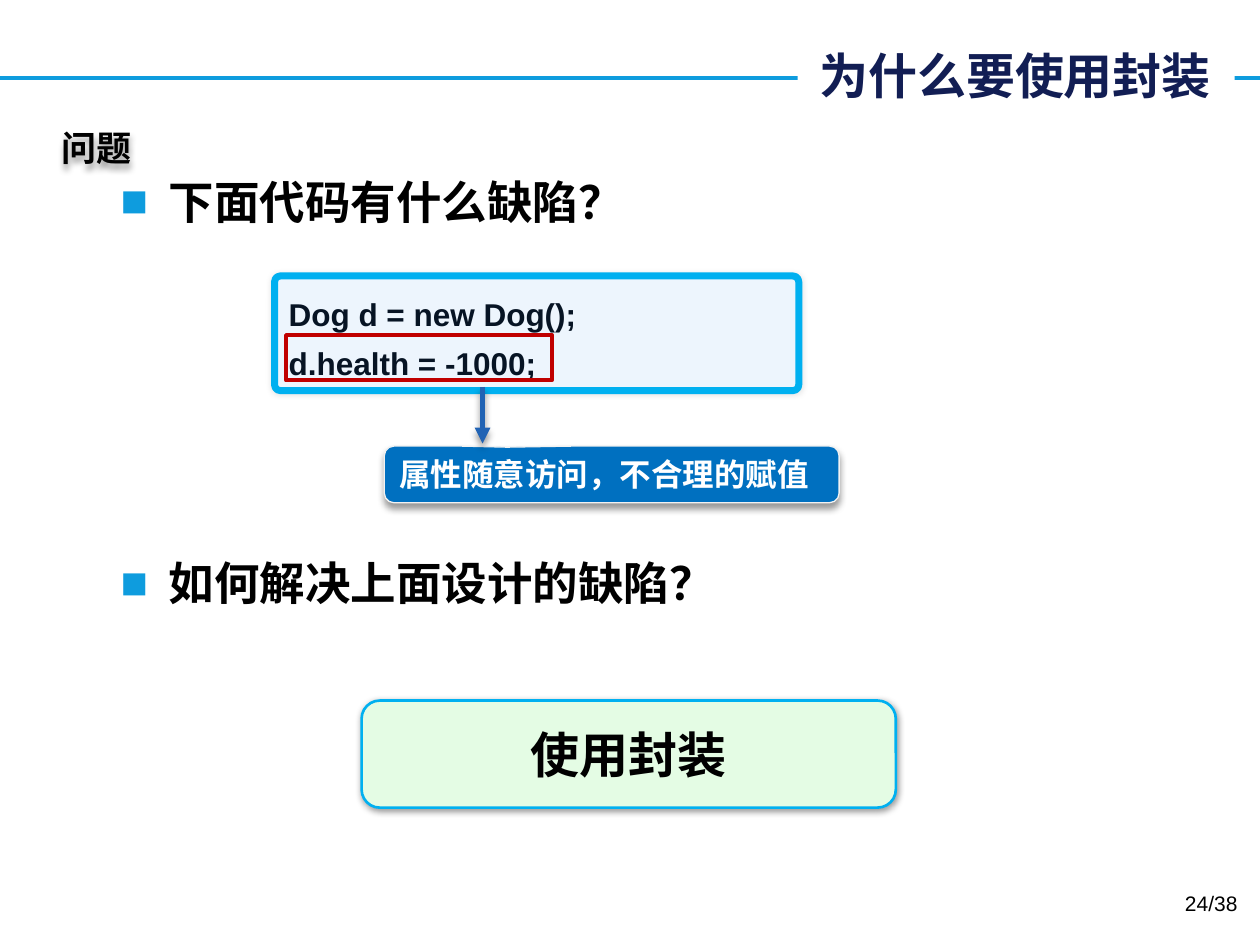
from lxml.etree import SubElement
from pptx import Presentation
from pptx.dml.color import RGBColor
from pptx.enum.shapes import MSO_CONNECTOR, MSO_SHAPE
from pptx.enum.text import MSO_ANCHOR, PP_ALIGN
from pptx.oxml.ns import qn
from pptx.util import Inches, Pt

BLUE, SKY, BLACK, WHITE = "0E9CDE", "00B0F0", "000000", "FFFFFF"
LATIN, CJK = "Arial", "Noto Sans CJK SC"


def color(hex_code):
    return RGBColor.from_string(hex_code)


class SlideBuilder:
    def __init__(self, slide):
        self.slide = slide

    def effects(self, shape, shadow):
        """Set the shadow as (opacity %, blur pt, distance pt), or none at all."""
        effect_list = SubElement(shape._element.spPr, qn("a:effectLst"))
        if shadow:
            opacity, blur, distance = shadow
            outer = SubElement(effect_list, qn("a:outerShdw"), blurRad=str(Pt(blur)),
                               dist=str(Pt(distance)), dir="5400000", rotWithShape="0")
            black = SubElement(outer, qn("a:srgbClr"), val=BLACK)
            SubElement(black, qn("a:alpha"), val=str(opacity * 1000))

    def box(self, kind, left, top, width, height, fill=None, line=None,
            weight=1, adjust=(), shadow=None):
        shape = self.slide.shapes.add_shape(
            kind, Inches(left), Inches(top), Inches(width), Inches(height))
        for index, value in enumerate(adjust):
            shape.adjustments[index] = value
        if fill:
            shape.fill.solid()
            shape.fill.fore_color.rgb = color(fill)
        else:
            shape.fill.background()
        if line:
            shape.line.color.rgb = color(line)
            shape.line.width = Pt(weight)
        else:
            shape.line.fill.background()
        self.effects(shape, shadow)
        return shape

    def text_box(self, left, top, width, height, shadow=None):
        shape = self.slide.shapes.add_textbox(
            Inches(left), Inches(top), Inches(width), Inches(height))
        if shadow:
            self.effects(shape, shadow)
        return shape

    def add_text(self, shape, lines, size, hex_code=BLACK, font=LATIN, bold=True,
                 align=PP_ALIGN.LEFT, anchor=MSO_ANCHOR.MIDDLE, spacing=None):
        frame = shape.text_frame
        frame.word_wrap = True
        frame.vertical_anchor = anchor
        for index, line in enumerate(lines):
            paragraph = frame.add_paragraph() if index else frame.paragraphs[0]
            paragraph.alignment = align
            paragraph.line_spacing = spacing
            run = paragraph.add_run()
            run.text = line
            run.font.size = Pt(size)
            run.font.bold = bold
            run.font.name = font
            run.font.color.rgb = color(hex_code)
            SubElement(run._r.get_or_add_rPr(), qn("a:ea"), typeface=CJK)
        return shape

    def bullet(self, top, text):
        item = self.add_text(self.text_box(0.86, top, 8.36, 0.6), [text], 26,
                             anchor=MSO_ANCHOR.TOP)
        properties = item.text_frame.paragraphs[0]._p.get_or_add_pPr()
        properties.set("marL", str(Inches(0.38)))
        properties.set("indent", str(-Inches(0.38)))
        bullet_color = SubElement(properties, qn("a:buClr"))
        SubElement(bullet_color, qn("a:srgbClr"), val=BLUE)
        SubElement(properties, qn("a:buFont"), typeface=LATIN)
        SubElement(properties, qn("a:buChar"), char="■")

    def line(self, start, end, hex_code, weight, arrow=False, shadow=None):
        connector = self.slide.shapes.add_connector(
            MSO_CONNECTOR.STRAIGHT, *map(Inches, start + end))
        connector.line.color.rgb = color(hex_code)
        connector.line.width = Pt(weight)
        if arrow:
            SubElement(connector.line._get_or_add_ln(), qn("a:tailEnd"), type="triangle")
        self.effects(connector, shadow)


def main():
    presentation = Presentation()
    presentation.slide_width, presentation.slide_height = Inches(10), Inches(7.5)
    page = SlideBuilder(presentation.slides.add_slide(presentation.slide_layouts[6]))

    page.line((0, 0.62), (10, 0.62), BLUE, 2.25)
    title = page.box(MSO_SHAPE.RECTANGLE, 6.33, 0.31, 3.47, 0.57, WHITE)
    title.text_frame.margin_left = 0
    title.text_frame.margin_right = Inches(0.19)
    page.add_text(title, ["为什么要使用封装"], 28, "121E54", CJK, align=PP_ALIGN.RIGHT)

    page.add_text(page.text_box(0.39, 0.95, 0.77, 0.44, (40, 4, 3)), ["问题"], 20, font=CJK)
    page.bullet(1.33, "下面代码有什么缺陷？")
    page.bullet(4.36, "如何解决上面设计的缺陷？")

    code = page.box(MSO_SHAPE.ROUNDED_RECTANGLE, 2.18, 2.19, 4.16, 0.91, "EDF5FD",
                    SKY, 4, (0.05,), (10, 3, 0))
    page.add_text(code, ["Dog d = new Dog();", "d.health = -1000;"], 18, "071424",
                  anchor=MSO_ANCHOR.TOP, spacing=1.3)

    defect = page.box(MSO_SHAPE.ROUNDED_RECTANGULAR_CALLOUT, 3.05, 3.54, 3.61, 0.45,
                      "0070C0", "F2F2F2", 0.75, (-0.23, -0.48, 0.17), (40, 4, 3))
    page.add_text(defect, ["属性随意访问，不合理的赋值"], 18, WHITE)

    answer = page.box(MSO_SHAPE.ROUNDED_RECTANGLE, 2.87, 5.56, 4.24, 0.85, "E4FCE4",
                      SKY, 1.5, (0.17,), (40, 4, 1))
    page.add_text(answer, ["使用封装"], 28, align=PP_ALIGN.CENTER)

    page.line((3.83, 3.07), (3.83, 3.52), "2163B4", 3, arrow=True, shadow=(40, 4, 3))
    page.box(MSO_SHAPE.RECTANGLE, 2.27, 2.66, 2.11, 0.36, line="C00000", weight=2.25)

    page.add_text(page.text_box(7.59, 7.02, 2.33, 0.4), ["24/38"], 12, bold=False,
                  align=PP_ALIGN.RIGHT, anchor=MSO_ANCHOR.TOP)
    presentation.save("out.pptx")


if __name__ == "__main__":
    main()
